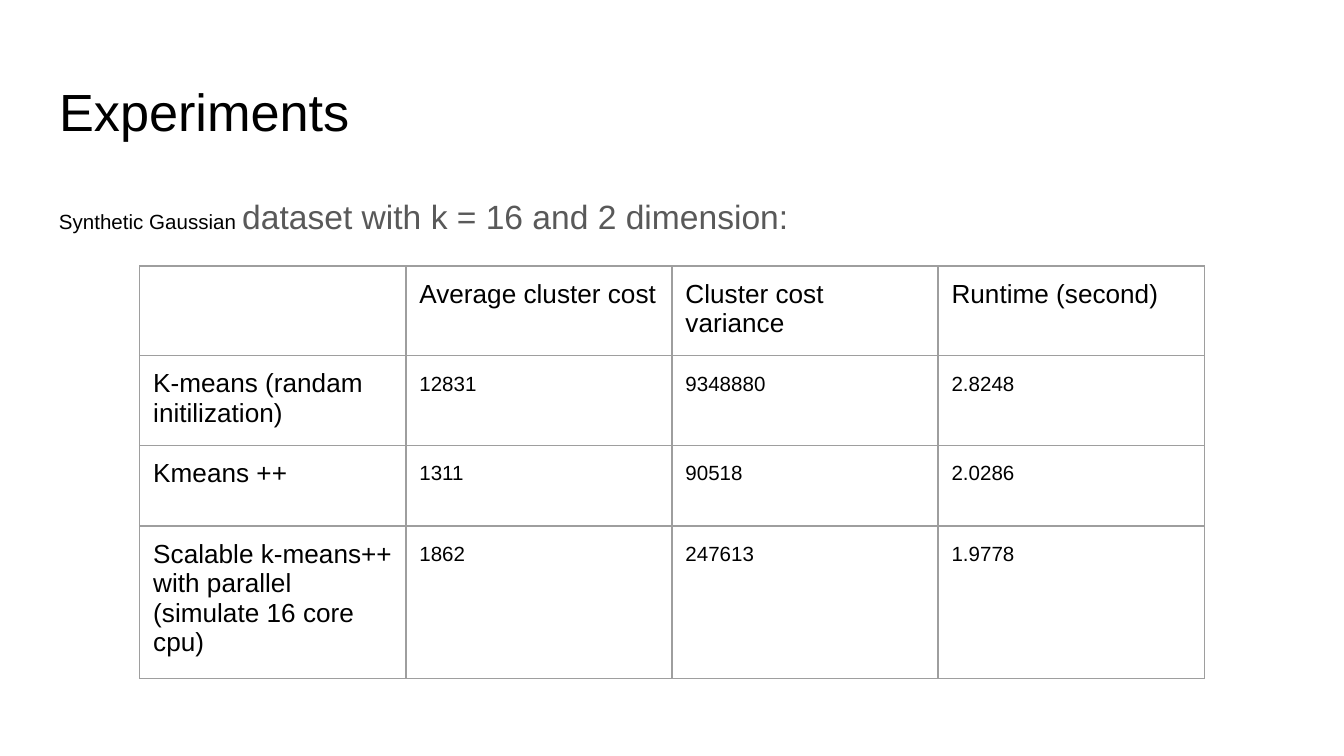
from dataclasses import dataclass

from lxml.etree import SubElement
from pptx import Presentation
from pptx.dml.color import RGBColor
from pptx.enum.text import MSO_ANCHOR, PP_ALIGN
from pptx.oxml.ns import qn
from pptx.util import Inches, Pt


@dataclass(frozen=True)
class Theme:
    """Colours and type sizes of the slide."""

    font: str = "Arial"
    ink: str = "000000"
    muted: str = "595959"
    border: str = "9E9E9E"
    border_width: float = 0.75
    title_size: int = 28
    lead_size: int = 18
    label_size: int = 14
    value_size: int = 11
    line_spacing: float = 1.15
    inset: float = 0.1


class SlideBuilder:
    """Draws styled elements on the current slide."""

    def __init__(self, presentation, theme):
        """Add a title-only slide."""
        self.theme = theme
        self.slide = presentation.slides.add_slide(presentation.slide_layouts[5])

    def style_font(self, font, size, color):
        """Apply the theme font with a size and colour."""
        font.name = self.theme.font
        font.size = Pt(size)
        font.color.rgb = RGBColor.from_string(color)

    def set_insets(self, target):
        """Give a text frame or cell equal margins."""
        for side in ("left", "top", "right", "bottom"):
            setattr(target, f"margin_{side}", Inches(self.theme.inset))

    def title(self, text, left, top, width, height):
        """Place and format the title placeholder."""
        shape = self.slide.shapes.title
        shape.left, shape.top = Inches(left), Inches(top)
        shape.width, shape.height = Inches(width), Inches(height)
        frame = shape.text_frame
        frame.text = text
        frame.vertical_anchor = MSO_ANCHOR.TOP
        self.set_insets(frame)
        paragraph = frame.paragraphs[0]
        paragraph.alignment = PP_ALIGN.LEFT
        self.style_font(paragraph.font, self.theme.title_size, self.theme.ink)

    def text(self, runs, left, top, width, height):
        """Add one paragraph of runs given as text, size and colour."""
        shape = self.slide.shapes.add_textbox(
            Inches(left), Inches(top), Inches(width), Inches(height)
        )
        frame = shape.text_frame
        frame.word_wrap = True
        self.set_insets(frame)
        paragraph = frame.paragraphs[0]
        paragraph.line_spacing = self.theme.line_spacing
        for content, size, color in runs:
            run = paragraph.add_run()
            run.text = content
            self.style_font(run.font, size, color)

    def cell_borders(self, cell):
        """Draw a thin line on each side of a cell."""
        properties = cell._tc.get_or_add_tcPr()
        for side in ("a:lnL", "a:lnR", "a:lnT", "a:lnB"):
            line = SubElement(
                properties, qn(side), w=str(Pt(self.theme.border_width))
            )
            fill = SubElement(line, qn("a:solidFill"))
            SubElement(fill, qn("a:srgbClr"), val=self.theme.border)

    def table(self, rows, left, top, frame_size, column_width, row_height):
        """Add a bordered table whose rows stretch to the frame height."""
        frame = self.slide.shapes.add_table(
            len(rows), len(rows[0]), Inches(left), Inches(top),
            Inches(frame_size), Inches(frame_size),
        )
        table = frame.table
        table.first_row = table.horz_banding = False
        for row in table.rows:
            row.height = Inches(row_height)
        for column in table.columns:
            column.width = Inches(column_width)
        frame.width = frame.height = Inches(frame_size)
        for row_index, row in enumerate(rows):
            for column_index, content in enumerate(row):
                cell = table.cell(row_index, column_index)
                self.set_insets(cell)
                self.cell_borders(cell)
                cell.fill.background()
                cell.text = content
                paragraph = cell.text_frame.paragraphs[0]
                size = self.theme.label_size
                if row_index and column_index:
                    size = self.theme.value_size
                    paragraph.line_spacing = self.theme.line_spacing
                self.style_font(paragraph.font, size, self.theme.ink)


def main():
    """Build and save the experiments slide."""
    theme = Theme()
    presentation = Presentation()
    presentation.slide_width = Inches(10)
    presentation.slide_height = Inches(10 * 9 / 16)
    builder = SlideBuilder(presentation, theme)
    builder.title("Experiments", 0.34, 0.49, 9.32, 0.63)
    builder.text(
        [
            ("Synthetic Gaussian ", theme.value_size, theme.ink),
            ("dataset with k = 16 and 2 dimension:", theme.lead_size, theme.muted),
        ],
        0.34, 1.31, 9.32, 3.74,
    )
    results = [
        ("", "Average cluster cost", "Cluster cost variance", "Runtime (second)"),
        ("K-means (randam initilization)", "12831", "9348880", "2.8248"),
        ("Kmeans ++", "1311", "90518", "2.0286"),
        (
            "Scalable k-means++ with parallel (simulate 16 core cpu)",
            "1862", "247613", "1.9778",
        ),
    ]
    builder.table(results, 1.04, 1.98, 3.28, 1.98, 0.6)
    presentation.save("out.pptx")


if __name__ == "__main__":
    main()
